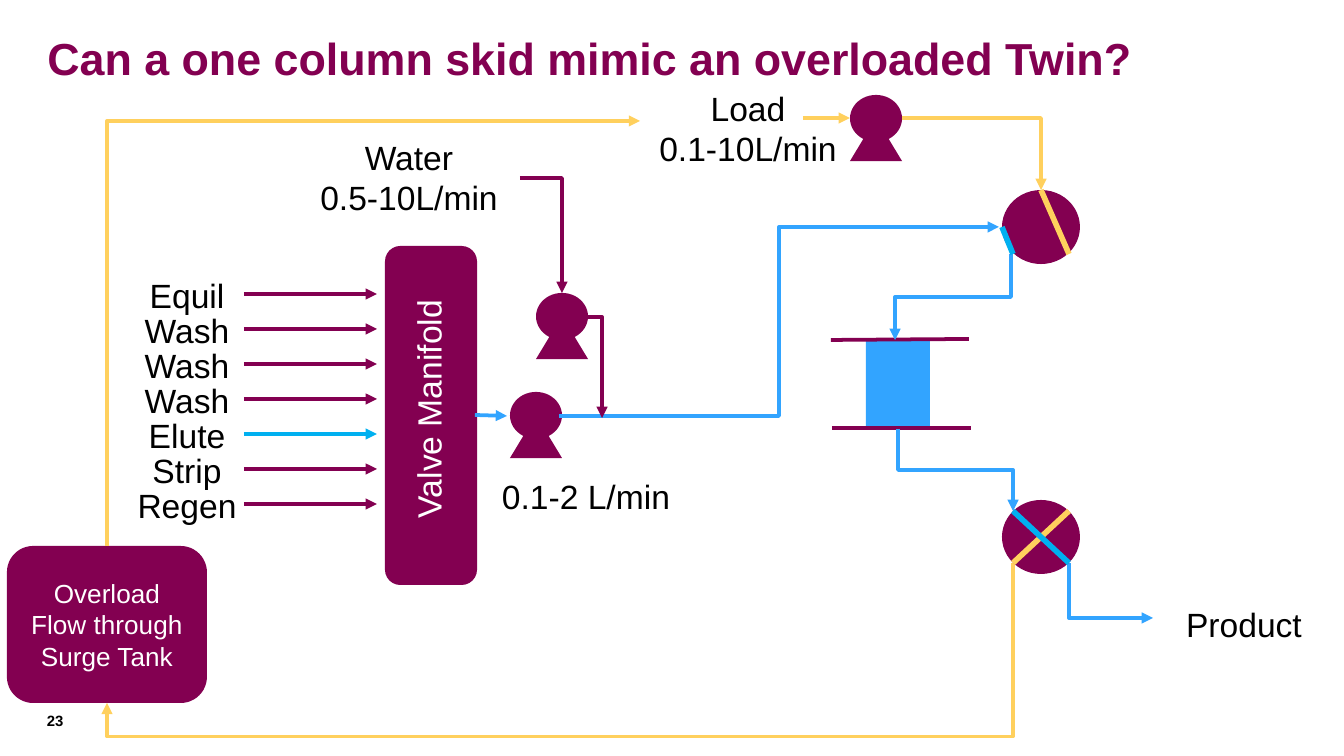
from lxml import etree
from pptx import Presentation
from pptx.dml.color import RGBColor
from pptx.enum.shapes import MSO_CONNECTOR, MSO_SHAPE
from pptx.enum.text import MSO_ANCHOR, PP_ALIGN
from pptx.oxml.ns import qn
from pptx.util import Emu, Pt

STRAIGHT, ELBOW = MSO_CONNECTOR.STRAIGHT, MSO_CONNECTOR.ELBOW
OVAL, TRIANGLE = MSO_SHAPE.OVAL, MSO_SHAPE.ISOSCELES_TRIANGLE
RECT, ROUNDED = MSO_SHAPE.RECTANGLE, MSO_SHAPE.ROUNDED_RECTANGLE
LEFT, CENTER = PP_ALIGN.LEFT, PP_ALIGN.CENTER
TOP, MIDDLE = MSO_ANCHOR.TOP, MSO_ANCHOR.MIDDLE

EMU_PER_PX = 914400 / 134.4
COLORS = {"plum": "830051", "blue": "32A4FF", "cyan": "00B0F0",
          "gold": "FFD05D", "black": "000000", "white": "FFFFFF"}

# Content: text, box (left, top, width, height), format
LABELS = [
    ("23", (47, 712, 58, 24), {"size": 8, "bold": True, "align": LEFT, "inset": 0}),
    ("Can a one column skid mimic an overloaded Twin?", (34, 21, 1289, 74),
     {"size": 24, "bold": True, "color": "plum", "align": LEFT, "anchor": MIDDLE}),
    ("Water\n0.5-10L/min", (298, 130, 222, 95), {}),
    ("Load\n0.1-10L/min", (645, 81, 206, 136), {}),
    ("0.1-2 L/min", (484, 469, 204, 54), {}),
    ("Product", (1172, 597, 144, 54), {}),
    ("Valve Manifold", (305, 382, 247, 54), {"color": "white", "rotation": 270}),
]
STREAMS = [("Equil", "plum"), ("Wash", "plum"), ("Wash", "plum"), ("Wash", "plum"),
           ("Elute", "cyan"), ("Strip", "plum"), ("Regen", "plum")]
STREAM_PITCH = 35
MANIFOLD = (385, 246, 92, 339)
COLUMN = (866, 340, 64, 87)
SURGE_TANK = (7, 546, 200, 157)
PUMPS = [(850, 95), (510, 392), (536, 293)]

# Straight lines: start, end, colour
COLUMN_PLATES = [((831, 340), (969, 339), "plum"), ((832, 428), (971, 428), "plum")]
FEEDS = [((475, 415), (507, 416), "blue"), ((803, 118), (850, 118), "gold")]

# Bent flows: start, end, colour, vertical first, position of the middle leg (None = one bend)
FLOWS = [
    ((902, 118), (1041, 190), "gold", False, None),
    ((1011, 254), (895, 340), "blue", True, 0.5),
    ((898, 429), (1013, 511), "blue", True, 0.5),
    ((1069, 563), (1153, 618), "blue", True, None),
    ((559, 416), (999, 227), "blue", False, 0.5),
    ((588, 317), (602, 418), "plum", False, None),
    ((520, 178), (562, 293), "plum", False, None),
    ((1013, 563), (107, 703), "gold", True, 1.24),
    ((107, 546), (640, 121), "gold", True, None),
]

# Valves: top left corner, channels
VALVES = [
    ((1002, 190), [((1041, 190), (1069, 254), "gold"), ((1002, 227), (1013, 254), "cyan")]),
    ((1002, 500), [((1069, 511), (1013, 563), "gold"), ((1013, 511), (1069, 563), "cyan")]),
]


def px(*values):
    return [Emu(round(value * EMU_PER_PX)) for value in values]


def rgb(name):
    return RGBColor.from_string(COLORS[name])


def write(frame, text, size=18, bold=False, color="black", align=CENTER,
          anchor=TOP, inset=None):
    frame.word_wrap = True
    frame.vertical_anchor = anchor
    if inset is not None:
        for side in ("left", "top", "right", "bottom"):
            setattr(frame, f"margin_{side}", inset)
    frame.text = text
    font_format = {"name": "Arial", "size": Pt(size), "bold": bold}
    for paragraph in frame.paragraphs:
        paragraph.alignment = align
        for key, value in font_format.items():
            setattr(paragraph.font, key, value)
        paragraph.font.color.rgb = rgb(color)


def add_label(slide, text, box, rotation=0, **text_format):
    label = slide.shapes.add_textbox(*px(*box))
    label.rotation = rotation
    write(label.text_frame, text, **text_format)


def add_block(slide, preset, box, color="plum"):
    block = slide.shapes.add_shape(preset, *px(*box))
    block.shadow.inherit = False
    block.fill.solid()
    block.fill.fore_color.rgb = rgb(color)
    block.line.fill.background()
    return block


def add_line(slide, start, end, color, width=2, arrow=True, kind=STRAIGHT):
    line = slide.shapes.add_connector(kind, *px(*start, *end))
    line.line.width = Pt(width)
    line.line.color.rgb = rgb(color)
    properties = line._element.spPr
    if arrow:
        etree.SubElement(properties.find(qn("a:ln")), qn("a:tailEnd"), type="triangle")
    etree.SubElement(properties, qn("a:effectLst"))
    return line


def add_flow(slide, start, end, color, vertical_first, middle):
    (x1, y1), (x2, y2) = start, end
    rotation = 0
    if vertical_first:
        # The elbow leaves sideways, so lay it out turned about its centre
        rightward, downward = x2 > x1, y2 > y1
        rotation = 270 if rightward and downward else 90
        cx, cy = (x1 + x2) / 2, (y1 + y2) / 2
        dx = abs(y2 - y1) / 2 * (-1 if rightward else 1)
        dy = abs(x2 - x1) / 2 * (1 if downward else -1)
        start, end = (cx - dx, cy - dy), (cx + dx, cy + dy)
    properties = add_line(slide, start, end, color, kind=ELBOW)._element.spPr
    if rotation:
        properties.find(qn("a:xfrm")).set("rot", str(rotation * 60000))
    geometry = properties.find(qn("a:prstGeom"))
    if middle is None:
        geometry.set("prst", "bentConnector2")
    else:
        etree.SubElement(geometry.find(qn("a:avLst")), qn("a:gd"),
                         name="adj1", fmla=f"val {round(middle * 100000)}")


def main():
    prs = Presentation()
    prs.slide_width, prs.slide_height = px(1344, 756)
    slide = prs.slides.add_slide(prs.slide_layouts[6])

    # Equipment
    add_block(slide, ROUNDED, MANIFOLD)
    add_block(slide, RECT, COLUMN, "blue")
    for plate in COLUMN_PLATES:
        add_line(slide, *plate, arrow=False)
    for x, y in PUMPS:
        add_block(slide, OVAL, (x, y, 52, 47))
        add_block(slide, TRIANGLE, (x, y + 23, 52, 43))
    surge_tank = add_block(slide, ROUNDED, SURGE_TANK)
    write(surge_tank.text_frame, "Overload Flow through Surge Tank",
          size=14, color="white", anchor=MIDDLE)

    # Buffer streams into the manifold
    for row, (stream, color) in enumerate(STREAMS):
        offset = row * STREAM_PITCH
        add_label(slide, stream, (122, 268 + offset, 130, 54))
        add_line(slide, (244, 294 + offset), (377, 294 + offset), color)

    # Flow paths
    for feed in FEEDS:
        add_line(slide, *feed)
    for flow in FLOWS:
        add_flow(slide, *flow)

    # Valves with their open channels
    for corner, channels in VALVES:
        add_block(slide, OVAL, (*corner, 78, 74))
        for channel in channels:
            add_line(slide, *channel, width=3, arrow=False)

    # Title, page number and labels
    for text, box, text_format in LABELS:
        add_label(slide, text, box, **text_format)

    prs.save("out.pptx")


if __name__ == "__main__":
    main()
